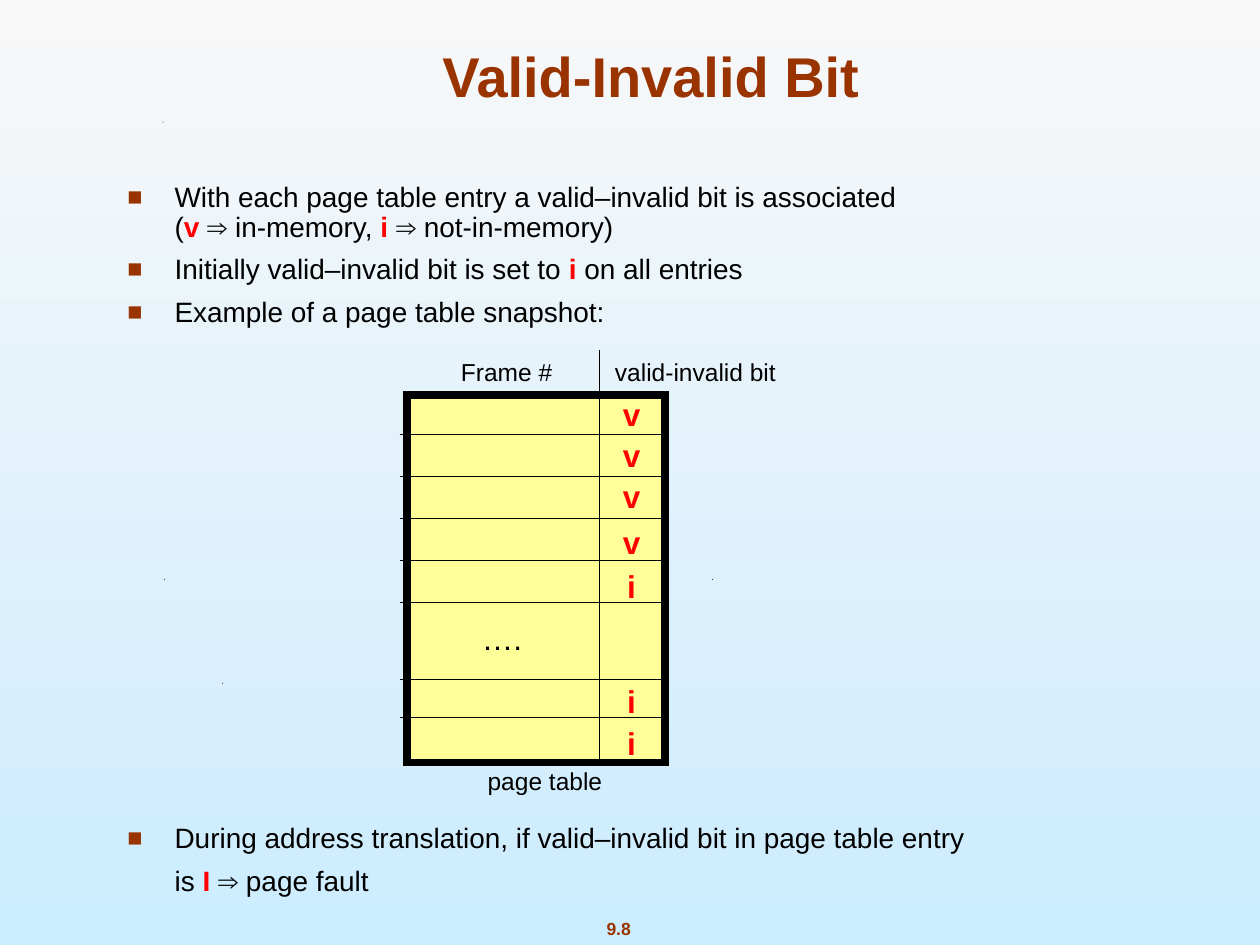
import pptx
import pptx.util
import pptx.dml.color
import pptx.enum.shapes
import pptx.enum.text
import lxml.etree
from pptx.util import Pt
from pptx.dml.color import RGBColor
from pptx.enum.text import MSO_ANCHOR, PP_ALIGN

BROWN = RGBColor(0x99, 0x33, 0x00)
RED = RGBColor(0xFF, 0x00, 0x00)
BLACK = RGBColor(0x00, 0x00, 0x00)
YELLOW = RGBColor(0xFF, 0xFF, 0x99)
SKY_TOP = RGBColor(0xF8, 0xF8, 0xF8)
SKY_BOTTOM = RGBColor(0xCC, 0xEC, 0xFF)
FONT = "Arial"
DRAWING = "{http://schemas.openxmlformats.org/drawingml/2006/main}"

TITLE = "Valid-Invalid Bit"
PAGE = "9.8"
POINTS = [
    {"bullet": True, "before": 0, "runs": [
        ("With each page table entry a valid–invalid bit is associated\v(", False),
        ("v ", True), ("⇒ in-memory, ", False),
        ("i ", True), ("⇒ not-in-memory)", False)]},
    {"bullet": True, "before": 7, "runs": [
        ("Initially valid–invalid bit is set to", False),
        (" i ", True), ("on all entries", False)]},
    {"bullet": True, "before": 7, "runs": [
        ("Example of a page table snapshot:", False)]},
    {"bullet": True, "before": 283.5, "runs": [
        ("During address translation, if valid–invalid bit in page table entry", False)]},
    {"bullet": False, "before": 7, "runs": [
        ("is", False), (" I ", True), ("⇒ page fault", False)]},
]
ROW_LINES = [248.3 + 24 * row for row in range(5)] + [388.2, 410.2]
BITS = [("v", 236.4), ("v", 260), ("v", 283.5), ("v", 309.6),
        ("i", 334.8), ("i", 400.3), ("i", 424.8)]
CAPTIONS = [("Frame #", 289.5, 212.4, 70), ("valid-invalid bit", 397.4, 212.4, 112),
            ("page table", 311.4, 446.4, 84)]
SPECKS = [(126.9, 390.6), (93.6, 331.2), (406.8, 331.2), (92.8, 69.8)]

deck = pptx.Presentation()
deck.slide_width, deck.slide_height = Pt(720), Pt(540)
slide = deck.slides.add_slide(deck.slide_layouts[6])

sky = slide.background.fill
sky.gradient()
sky.gradient_angle = 270
for stop, color in zip(sky.gradient_stops, (SKY_TOP, SKY_BOTTOM)):
    stop.color.rgb = color


def style(font, size, color, bold=False):
    font.name, font.size, font.bold = FONT, Pt(size), bold
    font.color.rgb = color


def text_frame(left, top, width, height, anchor, wrap):
    frame = slide.shapes.add_textbox(Pt(left), Pt(top), Pt(width), Pt(height)).text_frame
    frame.word_wrap = wrap
    frame.vertical_anchor = anchor
    return frame


def label(text, center_x, center_y, width, height, size, color, bold=False,
          anchor=MSO_ANCHOR.MIDDLE, wrap=False):
    frame = text_frame(center_x - width / 2, center_y - height / 2,
                       width, height, anchor, wrap)
    frame.text = text
    frame.paragraphs[0].alignment = PP_ALIGN.CENTER
    style(frame.paragraphs[0].runs[0].font, size, color, bold)


def rule(x1, y1, x2, y2):
    line = slide.shapes.add_connector(pptx.enum.shapes.MSO_CONNECTOR.STRAIGHT,
                                      Pt(x1), Pt(y1), Pt(x2), Pt(y2))
    line.line.color.rgb = BLACK
    line.line.width = Pt(0.75)
    lxml.etree.SubElement(line._element.spPr, DRAWING + "effectLst")


def set_bullet(paragraph, bulleted):
    props = paragraph._p.get_or_add_pPr()
    props.set("marL", str(Pt(27)))
    props.set("indent", str(Pt(-27 if bulleted else 0)))
    if not bulleted:
        lxml.etree.SubElement(props, DRAWING + "buNone")
        return
    color = lxml.etree.SubElement(props, DRAWING + "buClr")
    lxml.etree.SubElement(color, DRAWING + "srgbClr", val=str(BROWN))
    lxml.etree.SubElement(props, DRAWING + "buSzPct", val="90000")
    lxml.etree.SubElement(props, DRAWING + "buFont", typeface=FONT)
    lxml.etree.SubElement(props, DRAWING + "buChar", char="■")


label(PAGE, 353.5, 530.6, 70.6, 19.4, 10, BROWN, True)

for x, y in SPECKS:
    left, top = round(x * 100), round(y * 100)
    outline = slide.shapes.build_freeform(left, top, scale=127)
    outline.add_line_segments([(left + 70, top - 40), (left + 40, top + 20)])
    speck = outline.convert_to_shape()
    speck.shadow.inherit = False
    speck.fill.solid()
    speck.fill.fore_color.rgb = BLACK
    speck.line.fill.background()

label(TITLE, 372, 41.6, 636, 48, 32, BROWN, True, MSO_ANCHOR.BOTTOM, True)

body = text_frame(65.7, 101.1, 570, 450, MSO_ANCHOR.TOP, True)
for index, point in enumerate(POINTS):
    paragraph = body.add_paragraph() if index else body.paragraphs[0]
    paragraph.line_spacing = 0.9
    paragraph.space_before = Pt(point["before"])
    set_bullet(paragraph, point["bullet"])
    for text, is_bit in point["runs"]:
        for part_number, part in enumerate(text.split("\v")):
            if part_number:
                paragraph.add_line_break()
            run = paragraph.add_run()
            run.text = part
            style(run.font, 16, RED if is_bit else BLACK, is_bit)

page_table = slide.shapes.add_shape(pptx.enum.shapes.MSO_SHAPE.RECTANGLE,
                                    Pt(232.6), Pt(225.8), Pt(147.4), Pt(210))
page_table.shadow.inherit = False
page_table.fill.solid()
page_table.fill.fore_color.rgb = YELLOW
page_table.line.color.rgb = BLACK
page_table.line.width = Pt(4.5)
lxml.etree.SubElement(page_table.line._get_or_add_ln(), DRAWING + "miter", lim="800000")

for y in ROW_LINES:
    rule(228.5, y, 379, y)
rule(342.6, 200, 342.6, 434)

for bit, center_y in BITS:
    label(bit, 360.9, center_y, 24.5 if bit == "v" else 19.4, 28.8, 18, RED, True)
label("….", 286.8, 364.3, 37.4, 28.8, 18, BLACK)
for caption, center_x, center_y, width in CAPTIONS:
    label(caption, center_x, center_y, width, 24.5, 14, BLACK)

deck.save("out.pptx")
